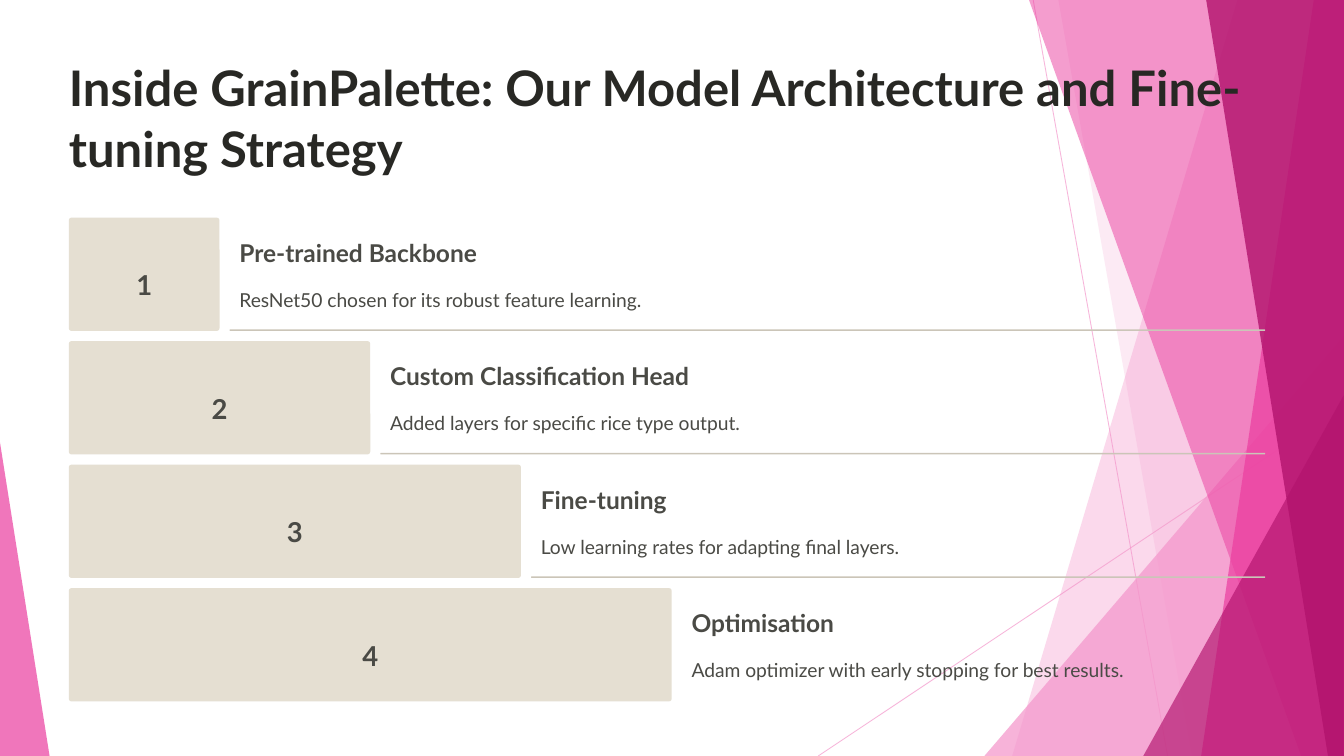
from dataclasses import dataclass
from typing import Any

import pptx
import pptx.dml.color
import pptx.enum.shapes
import pptx.enum.text
import pptx.oxml.ns
import pptx.oxml.xmlchemy
import pptx.util

Pt = pptx.util.Pt
RGBColor = pptx.dml.color.RGBColor
SHAPE = pptx.enum.shapes.MSO_SHAPE
ALIGN = pptx.enum.text.PP_ALIGN

LIGHT_PINK = RGBColor(0xF4, 0x96, 0xCB)
PINK = RGBColor(0xEB, 0x3D, 0x9F)
MAGENTA = RGBColor(0xB2, 0x13, 0x6D)
BEIGE = RGBColor(0xE5, 0xDF, 0xD2)
RULE_GREY = RGBColor(0xCB, 0xC5, 0xB8)
TITLE_INK = RGBColor(0x28, 0x28, 0x24)
INK = RGBColor(0x4A, 0x4A, 0x45)

WIDTH, HEIGHT = 1152, 648
LEFT, FIRST_TOP = 59, 186.5
BAR_STEP, BAR_HEIGHT, ROW_PITCH = 129.2, 97.2, 105.85
RULE_RIGHT = 1084.4


@dataclass
class TextStyle:
    size: float
    bold: bool
    spacing: float
    color: RGBColor = INK
    align: Any = ALIGN.LEFT


@dataclass
class Line:
    begin: tuple[float, float]
    end: tuple[float, float]


@dataclass
class Slab:
    """A band from the given top and bottom x to the right edge."""
    top_x: float
    bottom_x: float
    color: RGBColor
    opacity: int


@dataclass
class Wedge:
    left: float
    top: float
    width: float
    apex: float
    color: RGBColor
    opacity: int


@dataclass
class Step:
    heading: str
    detail: str
    heading_width: float
    detail_width: float


TITLE = TextStyle(42, True, 52.5, TITLE_INK)
NUMBER = TextStyle(23.5, True, 38, align=ALIGN.CENTER)
HEADING = TextStyle(21, True, 26)
DETAIL = TextStyle(16.5, False, 27)

LINES = [Line((885.6, 0), (1000.8, HEIGHT)), Line((WIDTH, 347.8), (701.3, HEIGHT))]
FACETS = [
    Slab(1060.6, 867.6, LIGHT_PINK, 36),
    Slab(907.2, 1021.7, LIGHT_PINK, 20),
    Wedge(843.8, 288, 308.2, 1, LIGHT_PINK, 72),
    Slab(882, 1115.3, PINK, 50),
    Slab(1126.1, 1029.6, PINK, 70),
    Slab(1033.9, 1138.3, MAGENTA, 80),
    Wedge(979.9, 339.1, 171.7, 1, MAGENTA, 66),
    Wedge(0, 379.4, 42.5, 0, PINK, 70),
]
STEPS = [
    Step("Pre-trained Backbone", "ResNet50 chosen for its robust feature learning.", 211.7, 353.5),
    Step("Custom Classification Head", "Added layers for specific rice type output.", 259.2, 304.6),
    Step("Fine-tuning", "Low learning rates for adapting final layers.", 211.7, 314.6),
    Step("Optimisation", "Adam optimizer with early stopping for best results.", 211.7, 379.4),
]


def apply(target: Any, values: dict[str, Any]) -> None:
    for name, value in values.items():
        setattr(target, name, value)


def set_opacity(shape: Any, percent: int) -> None:
    for color in shape.element.iter(pptx.oxml.ns.qn("a:srgbClr")):
        alpha = pptx.oxml.xmlchemy.OxmlElement("a:alpha")
        alpha.set("val", str(percent * 1000))
        color.append(alpha)


def paint(shape: Any, color: RGBColor) -> None:
    shape.shadow.inherit = False
    shape.fill.solid()
    shape.fill.fore_color.rgb = color
    shape.line.fill.background()


def add_preset(page: Any, kind: Any, box: tuple[float, ...], adjust: float, color: RGBColor) -> Any:
    shape = page.shapes.add_shape(kind, *map(Pt, box))
    shape.adjustments[0] = adjust
    paint(shape, color)
    return shape


def draw_line(page: Any, line: Line) -> None:
    connector = page.shapes.add_connector(
        pptx.enum.shapes.MSO_CONNECTOR.STRAIGHT, *map(Pt, line.begin + line.end))
    connector.line.color.rgb = LIGHT_PINK
    connector.line.width = Pt(0.75)
    connector.element.spPr.append(pptx.oxml.xmlchemy.OxmlElement("a:effectLst"))
    set_opacity(connector, 70)


def draw_facet(page: Any, facet: Slab | Wedge) -> None:
    if isinstance(facet, Wedge):
        box = (facet.left, facet.top, facet.width, HEIGHT - facet.top)
        shape = add_preset(page, SHAPE.ISOSCELES_TRIANGLE, box, facet.apex, facet.color)
    else:
        builder = page.shapes.build_freeform(Pt(facet.top_x), 0)
        corners = [(WIDTH, 0), (WIDTH, HEIGHT), (facet.bottom_x, HEIGHT)]
        builder.add_line_segments([(Pt(x), Pt(y)) for x, y in corners])
        shape = builder.convert_to_shape()
        paint(shape, facet.color)
    set_opacity(shape, facet.opacity)


def write(box: Any, text: str, style: TextStyle, wrap: bool = False) -> None:
    frame = box.text_frame
    apply(frame, {
        "margin_left": 0, "margin_top": 0, "margin_right": 0, "margin_bottom": 0,
        "word_wrap": wrap,
        "auto_size": pptx.enum.text.MSO_AUTO_SIZE.NONE,
        "vertical_anchor": pptx.enum.text.MSO_ANCHOR.TOP,
    })
    para = frame.paragraphs[0]
    apply(para, {"alignment": style.align, "line_spacing": Pt(style.spacing)})
    span = para.add_run()
    span.text = text
    apply(span.font, {"name": "Lato", "size": Pt(style.size), "bold": style.bold})
    span.font.color.rgb = style.color


def add_label(page: Any, text: str, box: tuple[float, ...], style: TextStyle) -> None:
    write(page.shapes.add_textbox(*map(Pt, box)), text, style)


def draw_step(page: Any, index: int, step: Step) -> None:
    top = FIRST_TOP + index * ROW_PITCH
    bar_width = (index + 1) * BAR_STEP
    right = LEFT + bar_width
    add_preset(page, SHAPE.ROUNDED_RECTANGLE, (LEFT, top, bar_width, BAR_HEIGHT), 0.026, BEIGE)
    add_label(page, str(index + 1), (LEFT + bar_width / 2 - 12, top + 33.8, 24, 29.5), NUMBER)
    add_label(page, step.heading, (right + 17, top + 16.6, step.heading_width, 26.6), HEADING)
    add_label(page, step.detail, (right + 17, top + 53.3, step.detail_width, 27.4), DETAIL)
    if index < len(STEPS) - 1:
        rule_left = right + 8.6
        add_preset(page, SHAPE.ROUNDED_RECTANGLE,
                   (rule_left, top + 95.8, RULE_RIGHT - rule_left, 1.4), 0.5, RULE_GREY)


def main() -> None:
    deck = pptx.Presentation()
    apply(deck, {"slide_width": Pt(WIDTH), "slide_height": Pt(HEIGHT)})
    page = deck.slides.add_slide(deck.slide_layouts[5])
    for line in LINES:
        draw_line(page, line)
    for facet in FACETS:
        draw_facet(page, facet)
    title = page.shapes.title
    title.element.getparent().append(title.element)
    apply(title, {"left": Pt(LEFT), "top": Pt(46.8), "width": Pt(1034), "height": Pt(105.8)})
    write(title, "Inside GrainPalette: Our Model Architecture and Fine-tuning Strategy", TITLE, wrap=True)
    for index, step in enumerate(STEPS):
        draw_step(page, index, step)
    deck.save("out.pptx")


if __name__ == "__main__":
    main()
